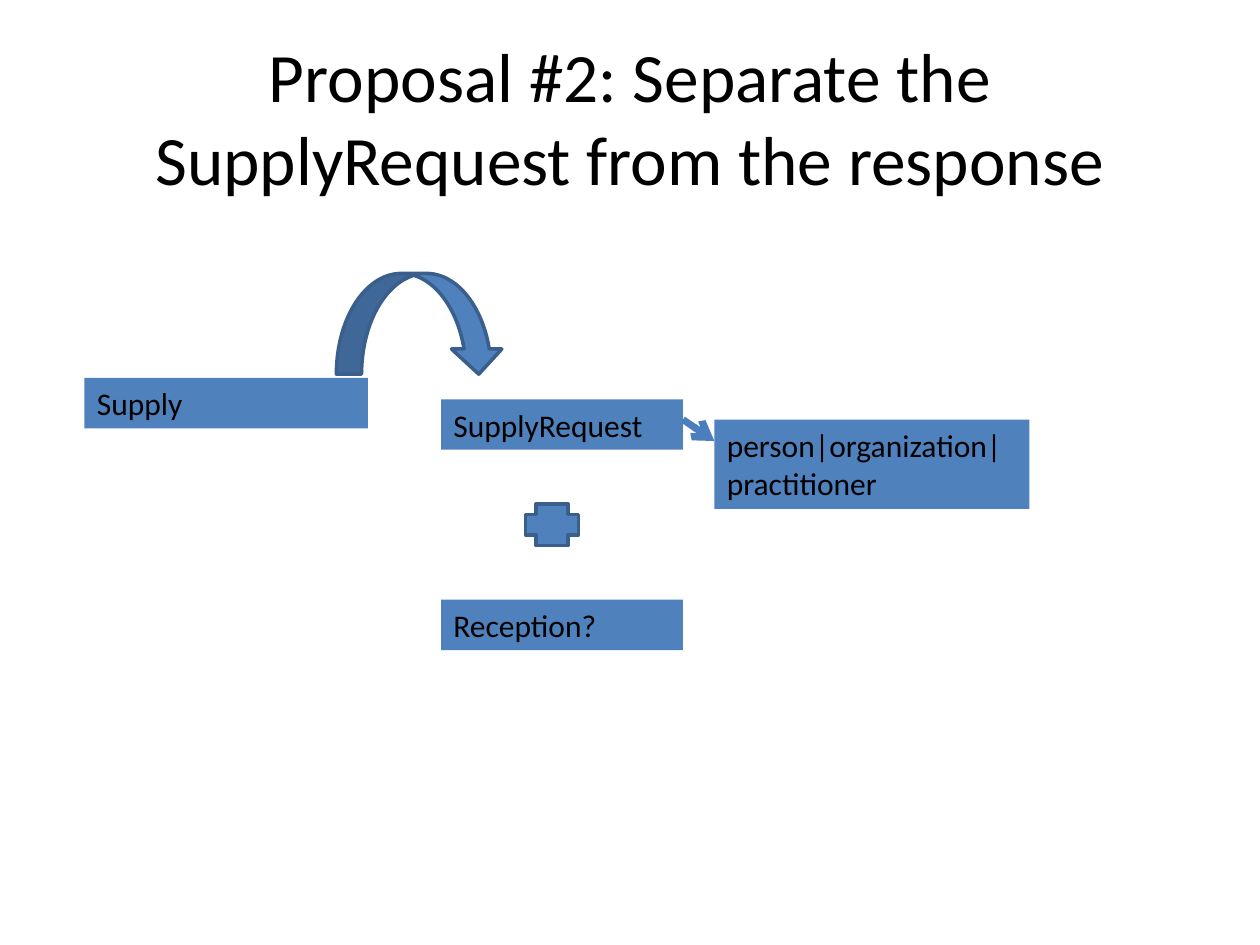
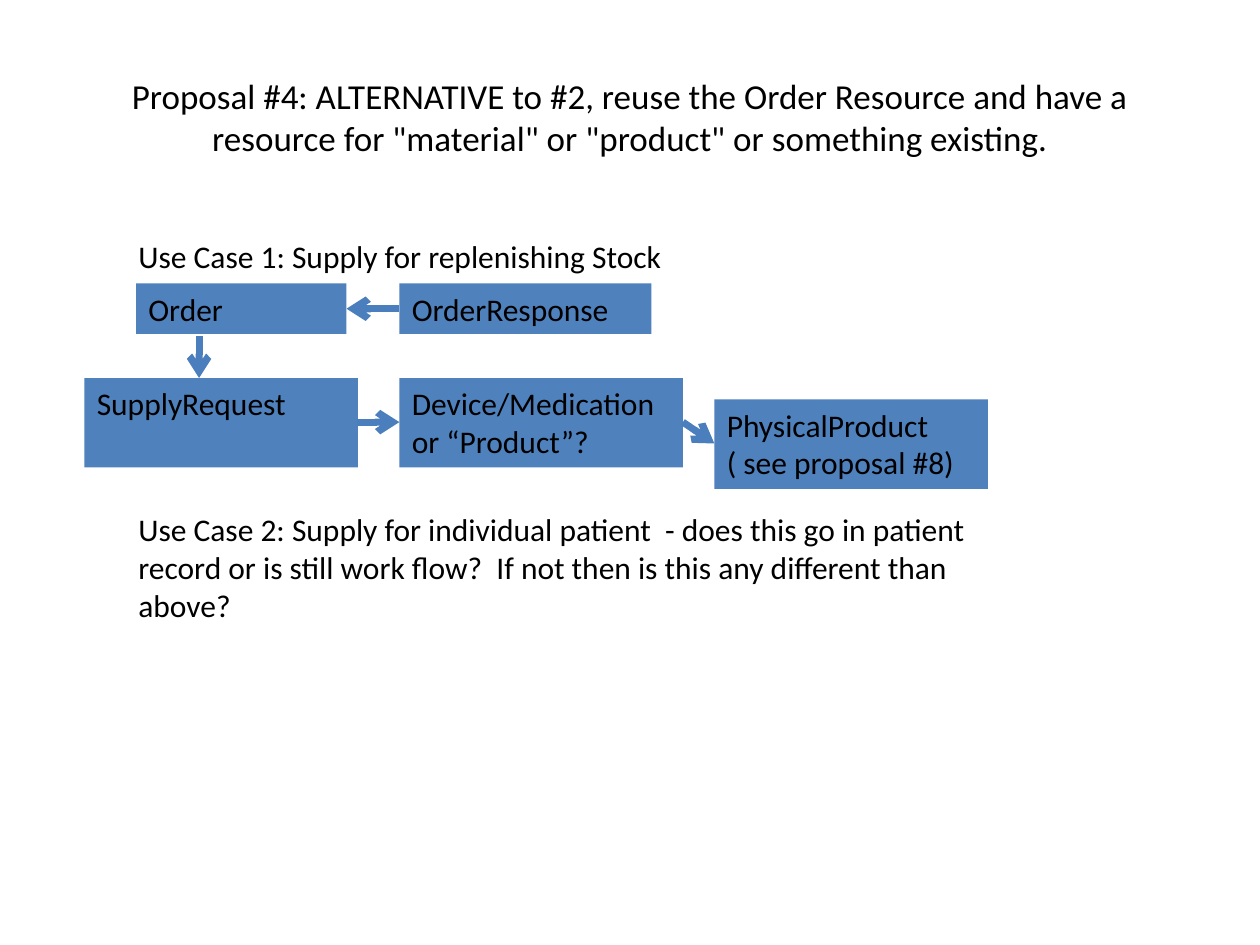
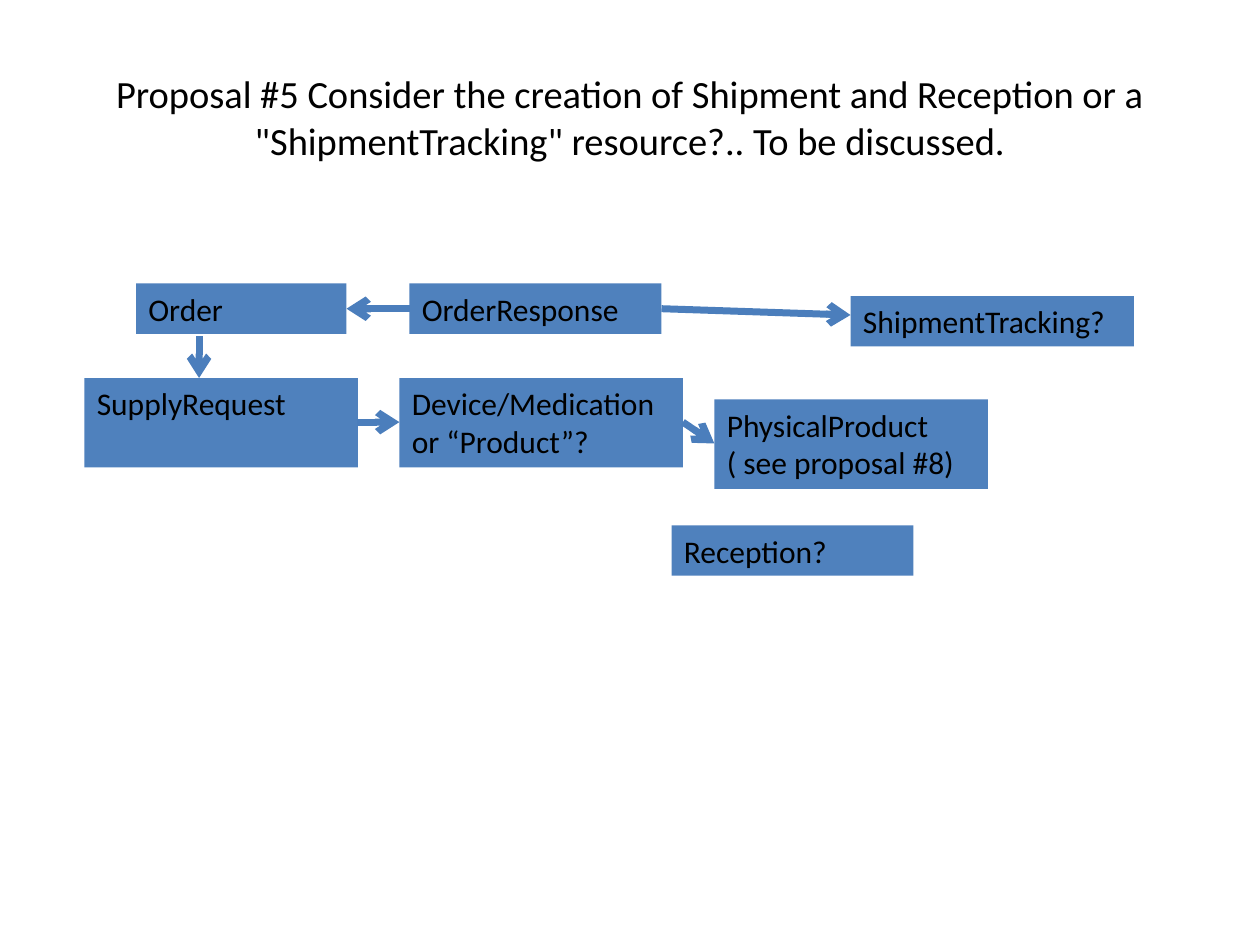
"""Builds three slides of supply resource proposals as boxes joined by arrows."""
from dataclasses import dataclass

from lxml.etree import SubElement
from pptx import Presentation
from pptx.dml.color import RGBColor
from pptx.enum.shapes import MSO_CONNECTOR as Connector, MSO_SHAPE as Preset
from pptx.enum.text import MSO_ANCHOR as Anchor, PP_ALIGN as Align
from pptx.oxml.ns import qn
from pptx.util import Inches, Pt


@dataclass(frozen=True)
class Theme:
    font: str = "Calibri"
    text: RGBColor = RGBColor.from_string("000000")
    box: RGBColor = RGBColor.from_string("4F81BD")
    outline: RGBColor = RGBColor.from_string("3A5F8C")
    arrow: RGBColor = RGBColor.from_string("4B7EBC")
    body_size: float = 18
    outline_width: float = 2
    arrow_width: float = 4


theme = Theme()
ONE_LINE, TWO_LINES, THREE_LINES = 0.4, 0.71, 1.31


def add_text(slide, words, left, top, width, height, size=theme.body_size):
    label = slide.shapes.add_textbox(Inches(left), Inches(top), Inches(width), Inches(height))
    label.text_frame.word_wrap = True
    label.text_frame.text = words
    font = label.text_frame.paragraphs[0].runs[0].font
    font.name, font.size, font.color.rgb = theme.font, Pt(size), theme.text
    return label


def add_arrow(slide, *ends):
    arrow = slide.shapes.add_connector(Connector.STRAIGHT, *map(Inches, ends))
    arrow.line.color.rgb = theme.arrow
    arrow.line.width = Pt(theme.arrow_width)
    SubElement(arrow.line._get_or_add_ln(), qn("a:tailEnd"), type="arrow")
    SubElement(arrow._element.spPr, qn("a:effectLst"))


order_boxes = [
    ("Order", 1.08, 2.25, 1.67, ONE_LINE),
    ("SupplyRequest", 0.67, 3, 2.17, TWO_LINES),
    ("Device/Medication or “Product”?", 3.17, 3, 2.25, TWO_LINES),
    ("PhysicalProduct ( see proposal #8)", 5.67, 3.17, 2.17, TWO_LINES),
]
order_arrows = [
    (1.58, 2.67, 1.58, 3),
    (2.83, 3.35, 3.17, 3.35),
    (5.42, 3.35, 5.67, 3.52),
]

proposals = [
    {
        "title": "Proposal #2: Separate the SupplyRequest from the response",
        "title_size": 39.6,
        "boxes": [
            ("Supply", 0.67, 3, 2.25, ONE_LINE),
            ("SupplyRequest", 3.5, 3.17, 1.92, ONE_LINE),
            ("person|organization|practitioner", 5.67, 3.33, 2.5, TWO_LINES),
            ("Reception?", 3.5, 4.76, 1.92, ONE_LINE),
        ],
        "arrows": [(5.42, 3.33, 5.67, 3.5)],
        "symbols": [
            (Preset.CURVED_DOWN_ARROW, 2.67, 2.17, 1.33, 0.8),
            (Preset.CROSS, 4.17, 4, 0.42, 0.33),
        ],
        "use_cases": [],
    },
    {
        "title": 'Proposal #4: ALTERNATIVE to #2, reuse the Order Resource and have a '
                 'resource for "material" or "product" or something existing.',
        "title_size": 20,
        "boxes": order_boxes + [("OrderResponse", 3.17, 2.25, 2, ONE_LINE)],
        "arrows": order_arrows + [(3.17, 2.45, 2.75, 2.45)],
        "symbols": [],
        "use_cases": [
            ("Use Case 1: Supply for replenishing Stock", 1, 1.83, 5.92, ONE_LINE),
            ("Use Case 2: Supply for individual patient  - does this go in patient record "
             "or is still work flow?  If not then is this any different than above?",
             1, 4, 7.17, THREE_LINES),
        ],
    },
    {
        "title": 'Proposal #5 Consider the creation of Shipment and Reception or a '
                 '"ShipmentTracking" resource?.. To be discussed.',
        "title_size": 22,
        "boxes": order_boxes + [
            ("OrderResponse", 3.25, 2.25, 2, ONE_LINE),
            ("ShipmentTracking?", 6.75, 2.35, 2.25, ONE_LINE),
            ("Reception?", 5.33, 4.17, 1.92, ONE_LINE),
        ],
        "arrows": order_arrows + [(3.25, 2.45, 2.75, 2.45), (5.25, 2.45, 6.75, 2.5)],
        "symbols": [],
        "use_cases": [],
    },
]

deck = Presentation()
deck.slide_width, deck.slide_height = Inches(10), Inches(7.5)
blank_layout = deck.slide_layouts[6]

for proposal in proposals:
    slide = deck.slides.add_slide(blank_layout)

    title = add_text(slide, proposal["title"], 0.5, 0.3, 9, 1.25, proposal["title_size"])
    title.text_frame.vertical_anchor = Anchor.MIDDLE
    title.text_frame.paragraphs[0].alignment = Align.CENTER

    for use_case in proposal["use_cases"]:
        add_text(slide, *use_case)

    for resource in proposal["boxes"]:
        box = add_text(slide, *resource)
        box.fill.solid()
        box.fill.fore_color.rgb = theme.box

    for ends in proposal["arrows"]:
        add_arrow(slide, *ends)

    for preset, *place in proposal["symbols"]:
        symbol = slide.shapes.add_shape(preset, *map(Inches, place))
        symbol.shadow.inherit = False
        symbol.fill.solid()
        symbol.fill.fore_color.rgb = theme.box
        symbol.line.color.rgb = theme.outline
        symbol.line.width = Pt(theme.outline_width)

deck.save("out.pptx")
